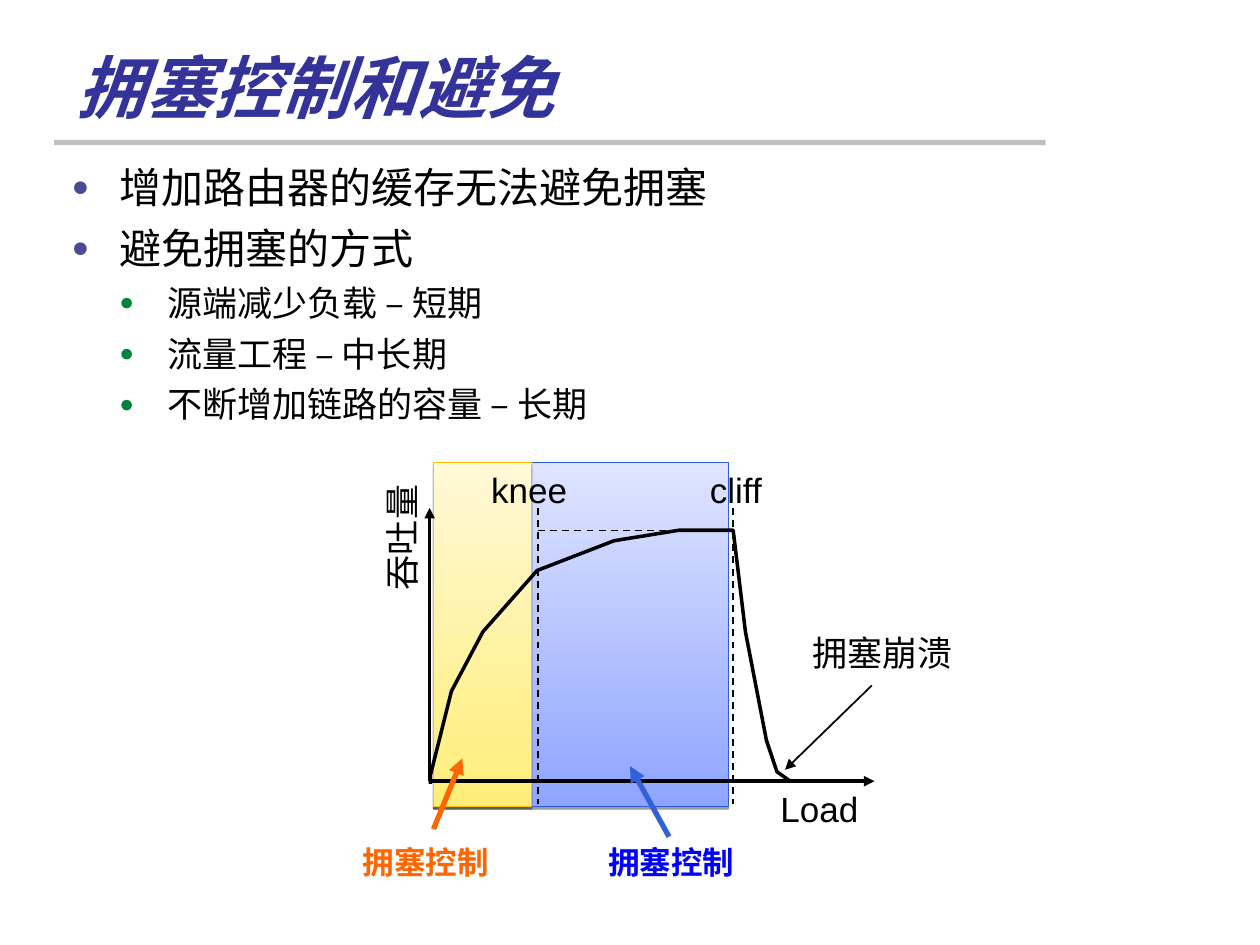
"""Build the slide on congestion control and avoidance."""
from dataclasses import dataclass
from typing import Optional

from lxml import etree
from pptx import Presentation
from pptx.dml.color import RGBColor
from pptx.enum import dml, shapes, text
from pptx.oxml import ns
from pptx.util import Pt

BLACK = RGBColor(0x00, 0x00, 0x00)
GREY = RGBColor(0xBF, 0xBF, 0xBF)
NAVY = RGBColor(0x33, 0x33, 0x99)
INDIGO = RGBColor(0x4A, 0x4A, 0x97)
GREEN = RGBColor(0x00, 0x84, 0x3C)
BLUE = RGBColor(0x00, 0x00, 0xFF)
ROYAL = RGBColor(0x32, 0x61, 0xDA)
EDGE = RGBColor(0x2D, 0x5D, 0xD9)
SKY = RGBColor(0x8F, 0xA4, 0xFF)
MIST = RGBColor(0xDF, 0xE5, 0xFF)
ORANGE = RGBColor(0xFF, 0x66, 0x00)
AMBER = RGBColor(0xFF, 0xBF, 0x00)
YELLOW = RGBColor(0xFF, 0xED, 0x78)
CREAM = RGBColor(0xFF, 0xF9, 0xD7)

LEFT, BASE, PEAK = 245.5, 446.4, 290.2
KNEE, CLIFF, FLAT, FOOT = 307.4, 419, 303.1, 459.4
ZONE = 247.7, 264.2, 196.6
CURVE = [(LEFT, 447.8), (LEFT, 442.8), (257.8, 394.6), (276.5, 360.7),
         (KNEE, 326.2), (351.4, 308.9), (388.1, FLAT), (CLIFF, FLAT),
         (425.5, 360.7), (437.8, 423.4), (444.2, 440.6), (450.7, BASE)]


@dataclass
class Zone:
    width: float
    low: RGBColor
    high: RGBColor
    edge: RGBColor


@dataclass
class Line:
    start: tuple
    end: tuple
    width: float = 1
    color: RGBColor = BLACK
    head: bool = False
    dash: bool = False


@dataclass
class Label:
    words: str
    box: tuple
    size: float = 20
    color: RGBColor = BLACK
    bold: bool = False
    align: Optional[text.PP_ALIGN] = text.PP_ALIGN.CENTER
    turn: float = 0


@dataclass
class Level:
    size: float
    indent: float
    gap: float
    dot: RGBColor


TOP = Level(24, 27.36, 6, INDIGO)
SUB = Level(20, 54.72, 5, GREEN)
POINTS = [("增加路由器的缓存无法避免拥塞", TOP), ("避免拥塞的方式", TOP),
          ("源端减少负载 – 短期", SUB), ("流量工程 – 中长期", SUB),
          ("不断增加链路的容量 – 长期", SUB)]
ZONES = [Zone(168.5, SKY, MIST, EDGE), Zone(56.2, YELLOW, CREAM, AMBER)]
LINES = [
    Line((LEFT, BASE), (LEFT, PEAK), 2, head=True),
    Line((LEFT, BASE), (499.7, BASE), 2, head=True),
    Line((CLIFF, PEAK), (CLIFF, FOOT), dash=True),
    Line((KNEE, PEAK), (KNEE, FOOT), dash=True),
    Line((KNEE, FLAT), (CLIFF, FLAT), dash=True),
    Line((498.2, 391.7), (448.6, 439.9), head=True),
    Line((382.3, 478.1), (360, 437.8), 3, ROYAL, head=True),
    Line((247.7, 473.8), (264.2, 433.4), 3, ORANGE, head=True),
]
LABELS = [
    Label("Load", (438.2, BASE, 60, 31)),
    Label("吞吐量", (190.3, 291.6, 78, 31), turn=270),
    Label("knee", (272.4, 264.2, 60, 31)),
    Label("cliff", (397.5, 264.2, 46, 31)),
    Label("拥塞崩溃", (455.4, 357.1, 98, 31)),
    Label("拥塞控制", (340.6, 478.1, 88, 28.8), 18, BLUE, True, None),
    Label("拥塞控制", (200.2, 478.1, 88, 28.8), 18, ORANGE, True, None),
]


def add(parent, tag: str, **attrs):
    return etree.SubElement(parent, ns.qn(tag), attrs)


def write(para, words: str, *, size: float, face: str = "Arial",
          color: RGBColor = BLACK, bold: bool = False,
          slant: bool = False, align=None) -> None:
    run = para.add_run()
    run.text = words
    font = run.font
    font.name, font.size = face, Pt(size)
    font.bold, font.italic = bold, slant
    font.color.rgb = color
    para.alignment = align


def mark(para, level: Level) -> None:
    props = para._p.get_or_add_pPr()
    props.set("marL", str(Pt(level.indent)))
    props.set("indent", str(-Pt(TOP.indent)))
    tint = add(props, "a:buClr")
    add(tint, "a:srgbClr", val=str(level.dot))
    add(props, "a:buSzPct", val="70000")
    add(props, "a:buFont", typeface="Arial")
    add(props, "a:buChar", char="●")


def place(shape, box: tuple) -> None:
    shape.left, shape.top, shape.width, shape.height = map(Pt, box)


def draw_zone(slide, zone: Zone) -> None:
    x, y, height = ZONE
    shape = slide.shapes.add_shape(shapes.MSO_SHAPE.RECTANGLE, Pt(x), Pt(y),
                                   Pt(zone.width), Pt(height))
    shape.fill.gradient()
    shape.fill.gradient_angle = 90
    for stop, color in zip(shape.fill.gradient_stops, (zone.low, zone.high)):
        stop.color.rgb = color
    shape.line.color.rgb, shape.line.width = zone.edge, Pt(0.75)
    shape.shadow.inherit = False
    effects = shape._element.spPr.find(ns.qn("a:effectLst"))
    cast = add(effects, "a:outerShdw", blurRad="0", dist=str(Pt(1.6)),
               dir="5400000", rotWithShape="0")
    shade = add(cast, "a:srgbClr", val=str(BLACK))
    add(shade, "a:alpha", val="38000")


def draw_line(slide, line: Line) -> None:
    ends = map(Pt, line.start + line.end)
    link = slide.shapes.add_connector(shapes.MSO_CONNECTOR.STRAIGHT, *ends)
    link.line.color.rgb, link.line.width = line.color, Pt(line.width)
    if line.dash:
        link.line.dash_style = dml.MSO_LINE.DASH
    if line.head:
        add(link.line._get_or_add_ln(), "a:tailEnd", type="triangle")
    add(link._element.spPr, "a:effectLst")


def draw_curve(slide) -> None:
    pen = slide.shapes.build_freeform(*CURVE[0], scale=Pt(1))
    pen.add_line_segments(CURVE[1:], close=False)
    shape = pen.convert_to_shape()
    shape.fill.background()
    shape.line.color.rgb, shape.line.width = BLACK, Pt(2)
    shape.shadow.inherit = False


def draw_label(slide, label: Label) -> None:
    box = slide.shapes.add_textbox(*map(Pt, label.box))
    box.rotation = label.turn
    box.text_frame.auto_size = text.MSO_AUTO_SIZE.SHAPE_TO_FIT_TEXT
    box.text_frame.word_wrap = label.align is None
    write(box.text_frame.paragraphs[0], label.words, size=label.size,
          color=label.color, bold=label.bold, align=label.align)


def draw_points(slide) -> None:
    frame = slide.shapes.add_textbox(*map(Pt, (33.8, 88.6, 686, 420))).text_frame
    frame.word_wrap = True
    for i, (words, level) in enumerate(POINTS):
        para = frame.add_paragraph() if i else frame.paragraphs[0]
        mark(para, level)
        para.space_before = Pt(level.gap if i else 0)
        write(para, words, size=level.size, face="Calibri")


def main() -> None:
    deck = Presentation()
    deck.slide_width, deck.slide_height = Pt(720), Pt(540)
    slide = deck.slides.add_slide(deck.slide_layouts[5])
    title = slide.shapes.title
    place(title, (36.7, 20.2, 594, 56.2))
    title.text_frame.vertical_anchor = text.MSO_ANCHOR.BOTTOM
    write(title.text_frame.paragraphs[0], "拥塞控制和避免", size=39, face="Calibri",
          color=NAVY, bold=True, slant=True, align=text.PP_ALIGN.LEFT)
    rule = slide.shapes.add_shape(shapes.MSO_SHAPE.RECTANGLE,
                                  *map(Pt, (31, 80, 566.6, 3)))
    rule.fill.solid()
    rule.fill.fore_color.rgb = GREY
    rule.line.fill.background()
    rule.shadow.inherit = False
    for zone in ZONES:
        draw_zone(slide, zone)
    draw_points(slide)
    draw_curve(slide)
    for line in LINES:
        draw_line(slide, line)
    for label in LABELS:
        draw_label(slide, label)
    deck.save("out.pptx")


if __name__ == "__main__":
    main()
